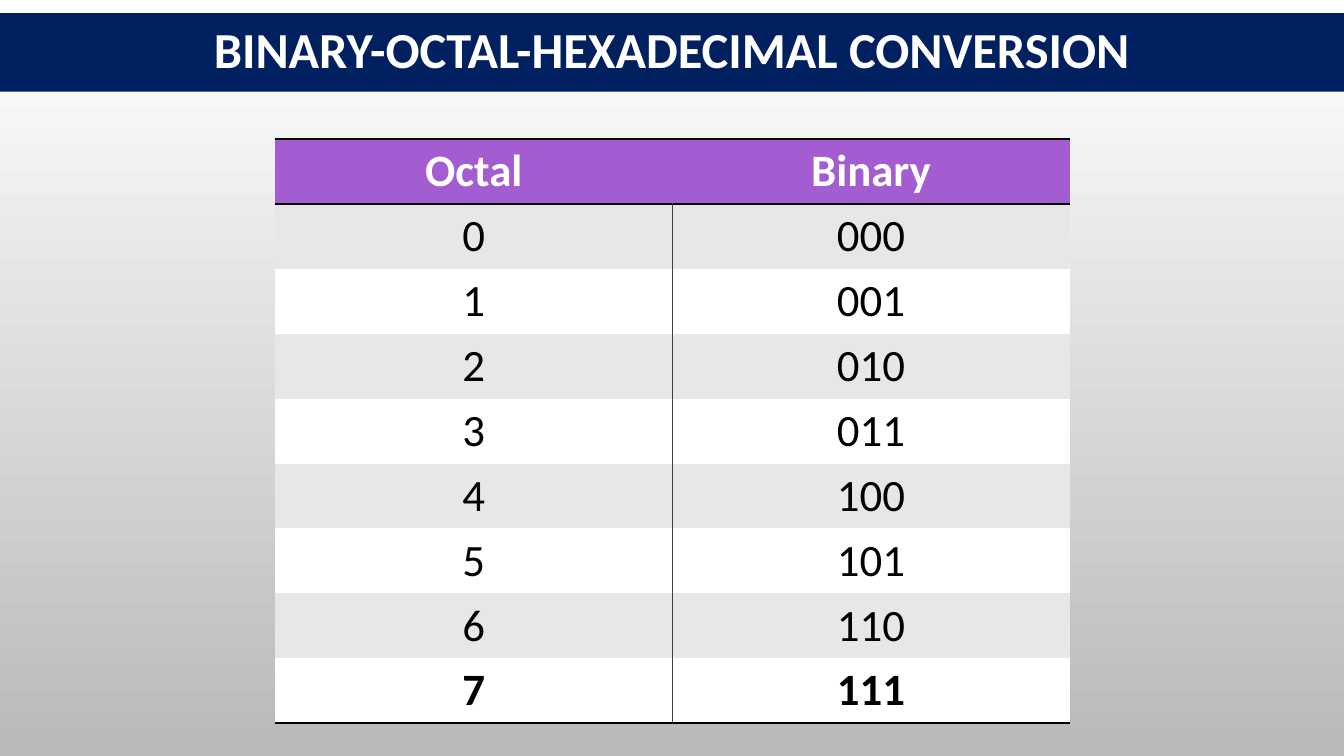
from dataclasses import dataclass

from lxml import etree
from pptx import Presentation
from pptx import util as u
from pptx.dml.color import RGBColor
from pptx.enum import text
from pptx.oxml import ns


@dataclass(frozen=True)
class Theme:
    font: str = "Calibri"
    title_size: int = 36
    table_size: int = 32
    navy: str = "002060"
    purple: str = "A35DD1"
    white: str = "FFFFFF"
    band: str = "E7E7E7"
    black: str = "000000"
    divider: str = "404040"
    backdrop_end: str = "B9B9B9"


theme = Theme()


def format_text(frame, size, color, bold):
    frame.vertical_anchor = text.MSO_ANCHOR.MIDDLE
    for paragraph in frame.paragraphs:
        paragraph.alignment = text.PP_ALIGN.CENTER
        for run in paragraph.runs:
            run.font.name = theme.font
            run.font.size = u.Pt(size)
            run.font.bold = bold
            run.font.color.rgb = RGBColor.from_string(color)


def add_border(cell, side, color, width):
    line = etree.SubElement(cell._tc.get_or_add_tcPr(), ns.qn(f"a:ln{side}"), w=str(u.Pt(width)))
    if width:
        fill = etree.SubElement(line, ns.qn("a:solidFill"))
        etree.SubElement(fill, ns.qn("a:srgbClr"), val=color)
    else:
        etree.SubElement(line, ns.qn("a:noFill"))


deck = Presentation()
deck.slide_width = u.Inches(13.33)
deck.slide_height = u.Inches(7.5)
slide = deck.slides.add_slide(deck.slide_layouts[5])

backdrop = slide.background.fill
backdrop.gradient()
backdrop.gradient_angle = 270
for stop, color in zip(backdrop.gradient_stops, (theme.white, theme.backdrop_end)):
    stop.color.rgb = RGBColor.from_string(color)

heading = slide.shapes.title
heading.left, heading.top = u.Inches(0), u.Inches(0.13)
heading.width, heading.height = deck.slide_width, u.Inches(0.78)
heading.fill.solid()
heading.fill.fore_color.rgb = RGBColor.from_string(theme.navy)
heading.text_frame.text = "BINARY-OCTAL-HEXADECIMAL CONVERSION"
heading.text_frame.auto_size = text.MSO_AUTO_SIZE.NONE
heading.text_frame.paragraphs[0].line_spacing = 0.9
format_text(heading.text_frame, theme.title_size, theme.white, True)

conversions = [("Octal", "Binary")] + [(str(digit), f"{digit:03b}") for digit in range(8)]
last = len(conversions) - 1
row_height = u.Inches(0.64)
conversion_table = slide.shapes.add_table(
    len(conversions), 2, u.Inches(2.73), u.Inches(1.38),
    u.Inches(7.88), row_height * len(conversions)).table

for row, values in enumerate(conversions):
    conversion_table.rows[row].height = row_height
    is_header = row == 0
    if is_header:
        row_fill = theme.purple
    else:
        row_fill = theme.band if row % 2 else theme.white
    divider_width = 0 if is_header else 1
    for column, value in enumerate(values):
        cell = conversion_table.cell(row, column)
        cell.text_frame.text = value
        format_text(cell.text_frame, theme.table_size,
                    theme.white if is_header else theme.black, row in (0, last))
        cell.vertical_anchor = text.MSO_ANCHOR.MIDDLE
        add_border(cell, "L", theme.divider, divider_width if column == 1 else 0)
        add_border(cell, "R", theme.divider, divider_width if column == 0 else 0)
        add_border(cell, "T", theme.black, 2 if row in (0, 1) else 0)
        add_border(cell, "B", theme.black, 2 if row in (0, last) else 0)
        cell.fill.solid()
        cell.fill.fore_color.rgb = RGBColor.from_string(row_fill)

deck.save("out.pptx")
